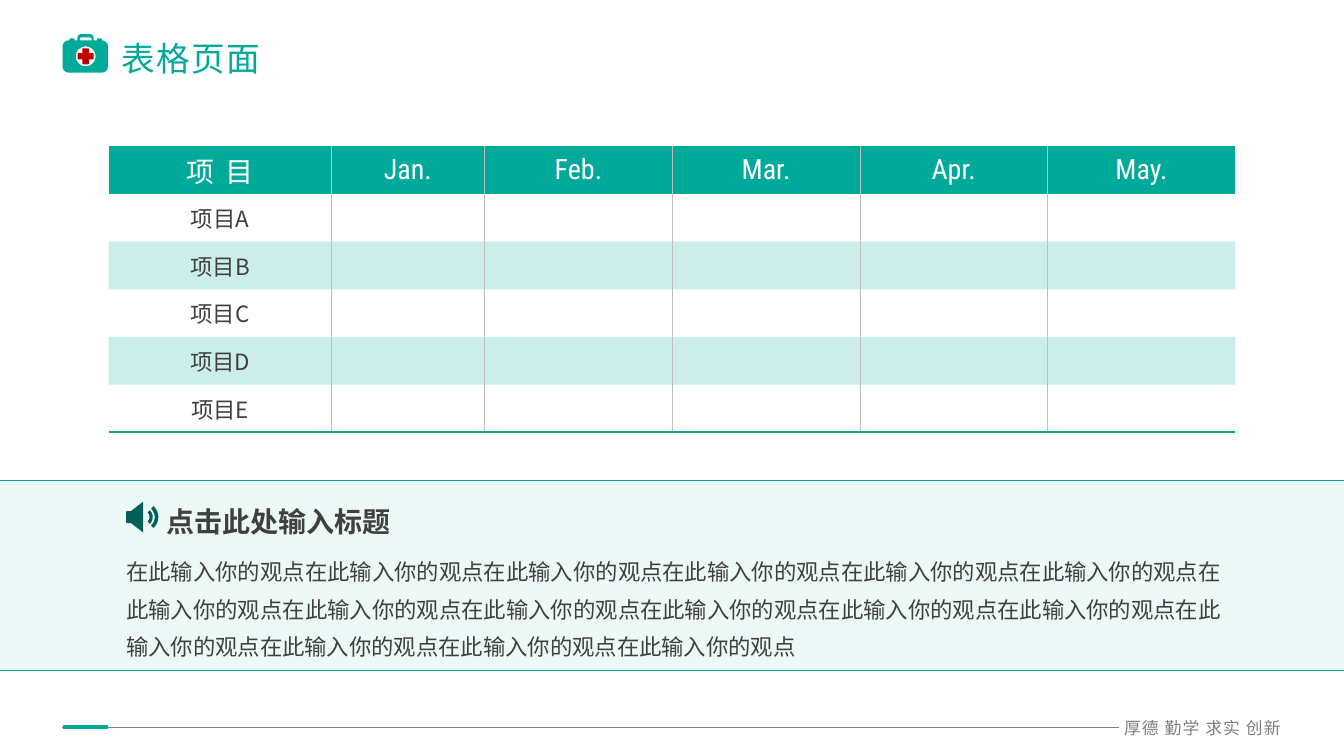
from dataclasses import dataclass
from math import cos, hypot, radians, sin

from lxml import etree
from pptx import Presentation
from pptx.dml.color import RGBColor
from pptx.enum.shapes import MSO_CONNECTOR, MSO_SHAPE
from pptx.enum.text import MSO_ANCHOR, PP_ALIGN
from pptx.oxml.ns import qn
from pptx.util import Cm, Pt

STRAIGHT = MSO_CONNECTOR.STRAIGHT
RECTANGLE = MSO_SHAPE.RECTANGLE
TOP, MIDDLE = MSO_ANCHOR.TOP, MSO_ANCHOR.MIDDLE
LEFT, CENTER, JUSTIFY = PP_ALIGN.LEFT, PP_ALIGN.CENTER, PP_ALIGN.JUSTIFY


@dataclass(frozen=True)
class Theme:
    teal: str = "00AA9A"
    teal_deep: str = "008074"
    speaker: str = "036057"
    red: str = "C00000"
    ink: str = "404040"
    gray: str = "808080"
    rule: str = "BFBFBF"
    white: str = "FFFFFF"
    cjk: str = "Noto Sans CJK JP"
    latin: str = "Roboto Condensed"
    title_size: int = 24
    heading_size: int = 20
    body_size: int = 16
    footer_size: int = 12


THEME = Theme()

TITLE = "表格页面"
HEADER = ["项 目", "Jan.", "Feb.", "Mar.", "Apr.", "May."]
ITEMS = ["项目A", "项目B", "项目C", "项目D", "项目E"]
HEADING = "点击此处输入标题"
BODY = "在此输入你的观点" * 16
MOTTO = "厚德 勤学 求实 创新"

SLIDE_W, SLIDE_H = 33.87, 19.05
COLUMN_WIDTHS = [5.61, 3.86] + [4.73] * 4
ROW_HEIGHT = 1.2
PANEL_TOP, PANEL_BOTTOM = 12.12, 16.9

KIT_CENTER = (2.16, 1.42)
KIT_BODY = [
    (1.58, 1.02, 0.15), (1.75, 1.02, 0), (1.75, 0.97, 0.03), (1.88, 0.97, 0.03),
    (1.88, 1.02, 0), (1.95, 1.02, 0), (1.95, 0.86, 0.1), (2.36, 0.86, 0.1),
    (2.36, 1.02, 0), (2.44, 1.02, 0), (2.44, 0.97, 0.03), (2.57, 0.97, 0.03),
    (2.57, 1.02, 0), (2.72, 1.02, 0.15), (2.72, 1.83, 0.15), (1.58, 1.83, 0.15),
]
KIT_HANDLE_GAP = [(2.01, 1.02, 0), (2.01, 0.94, 0.05), (2.31, 0.94, 0.05), (2.31, 1.02, 0)]
WINDOW_RADIUS, CROSS_REACH, CROSS_ARM = 0.25, 0.2, 0.08
SPEAKER_HORN = [(3.18, 12.88, 0.03), (3.3, 12.88, 0), (3.61, 12.64, 0),
                (3.61, 13.42, 0), (3.3, 13.18, 0), (3.18, 13.18, 0.03)]
WAVE_CENTER = (3.62, 13.03)
WAVE_RADII = [(0.15, 0.23), (0.28, 0.37)]


def rgb(color):
    return RGBColor.from_string(color)


def set_alpha(element, percent):
    color = next(element.iter(qn("a:srgbClr")))
    etree.SubElement(color, qn("a:alpha")).set("val", str(percent * 1000))


def style_text(frame, text, size, color, font=THEME.cjk, align=LEFT, spacing=None,
               line_spacing=None, bold=False):
    frame.text = text
    paragraph = frame.paragraphs[0]
    paragraph.alignment = align
    if line_spacing:
        paragraph.line_spacing = line_spacing
    run = paragraph.runs[0]
    run.font.size = Pt(size)
    run.font.bold = bold
    run.font.color.rgb = rgb(color)
    run.font.name = font
    properties = run.font._element
    etree.SubElement(properties, qn("a:ea")).set("typeface", font)
    if spacing:
        properties.set("spc", str(round(spacing * 100)))
    return run


def add_text(slide, box, text, size, color, inset=0, anchor=TOP, **style):
    frame = slide.shapes.add_textbox(*map(Cm, box)).text_frame
    frame.word_wrap = True
    frame.vertical_anchor = anchor
    frame.margin_left = frame.margin_right = 0
    frame.margin_top = frame.margin_bottom = Cm(inset)
    return style_text(frame, text, size, color, **style)


def add_rule(slide, left, right, y, color, width):
    rule = slide.shapes.add_connector(STRAIGHT, Cm(left), Cm(y), Cm(right), Cm(y))
    rule.line.color.rgb = rgb(color)
    rule.line.width = Pt(width)
    etree.SubElement(rule._element.spPr, qn("a:effectLst"))


def rounded(corners, steps=8):
    points = []
    for i, (x, y, radius) in enumerate(corners):
        if not radius:
            points.append((x, y))
            continue
        ends = []
        for nx, ny, _ in (corners[i - 1], corners[(i + 1) % len(corners)]):
            share = radius / hypot(nx - x, ny - y)
            ends.append((x + (nx - x) * share, y + (ny - y) * share))
        start, end = ends
        for k in range(steps + 1):
            t = k / steps
            u = 1 - t
            from_start = u ** 3 + 3 * u * u * t * 0.45
            from_end = t ** 3 + 3 * t * t * u * 0.45
            to_corner = 1 - from_start - from_end
            points.append(tuple(a * from_start + b * from_end + c * to_corner
                                for a, b, c in zip(start, end, (x, y))))
    return points


def add_outline(slide, contours, color):
    contours = [[(Cm(x), Cm(y)) for x, y in contour] for contour in contours]
    builder = slide.shapes.build_freeform(*contours[0][0])
    builder.add_line_segments(contours[0][1:], close=True)
    for contour in contours[1:]:
        builder.move_to(*contour[0])
        builder.add_line_segments(contour[1:], close=True)
    outline = builder.convert_to_shape()
    outline.shadow.inherit = False
    outline.fill.solid()
    outline.fill.fore_color.rgb = rgb(color)
    outline.line.fill.background()


def add_first_aid_kit(slide):
    cx, cy = KIT_CENTER
    window = [(cx + sx * WINDOW_RADIUS, cy + sy * WINDOW_RADIUS, WINDOW_RADIUS)
              for sx, sy in ((-1, -1), (-1, 1), (1, 1), (1, -1))]
    reach, arm = CROSS_REACH, CROSS_ARM
    quarter = [(-arm, -reach, 0.02), (arm, -reach, 0.02), (arm, -arm, 0)]
    cross = []
    for _ in range(4):
        cross += [(cx + x, cy + y, radius) for x, y, radius in quarter]
        quarter = [(-y, x, radius) for x, y, radius in quarter]
    add_outline(slide, map(rounded, (KIT_BODY, KIT_HANDLE_GAP, window)), THEME.teal)
    add_outline(slide, [rounded(cross)], THEME.red)


def add_speaker(slide):
    cx, cy = WAVE_CENTER
    angles = [radians(degree) for degree in range(-48, 49, 6)]
    for inner, outer in WAVE_RADII:
        sweep = [(outer, a) for a in angles] + [(inner, a) for a in reversed(angles)]
        add_outline(slide, [[(cx + r * cos(a), cy + r * sin(a)) for r, a in sweep]],
                    THEME.speaker)
    add_outline(slide, [rounded(SPEAKER_HORN)], THEME.speaker)


def set_borders(cell, borders):
    properties = cell._tc.get_or_add_tcPr()
    for i, side in enumerate(("lnL", "lnR", "lnT", "lnB")):
        border = etree.Element(qn(f"a:{side}"))
        if side in borders:
            color, width = borders[side]
            border.set("w", str(Pt(width)))
            fill = etree.SubElement(border, qn("a:solidFill"))
            etree.SubElement(fill, qn("a:srgbClr")).set("val", color)
        else:
            border.set("w", "0")
            etree.SubElement(border, qn("a:noFill"))
        properties.insert(i, border)


def add_schedule(slide):
    rows = [HEADER] + [[item] + [""] * (len(HEADER) - 1) for item in ITEMS]
    table = slide.shapes.add_table(
        len(rows), len(HEADER), Cm(2.74), Cm(3.69),
        Cm(sum(COLUMN_WIDTHS)), Cm(ROW_HEIGHT * len(rows))).table
    table.first_row = table.horz_banding = False
    for column, width in zip(table.columns, COLUMN_WIDTHS):
        column.width = Cm(width)
    for r, row in enumerate(rows):
        table.rows[r].height = Cm(ROW_HEIGHT)
        for c, text in enumerate(row):
            cell = table.cell(r, c)
            cell.vertical_anchor = MIDDLE
            cell.margin_left = cell.margin_right = cell.margin_top = cell.margin_bottom = 0
            if text:
                style_text(cell.text_frame, text,
                           THEME.body_size if r else THEME.heading_size,
                           THEME.ink if r else THEME.white,
                           font=THEME.latin if c else THEME.cjk, align=CENTER,
                           spacing=None if r or c else 2)
            if r % 2 and r:
                cell.fill.background()
            else:
                cell.fill.solid()
                cell.fill.fore_color.rgb = rgb(THEME.teal)
                if r:
                    set_alpha(cell._tc.tcPr, 20)
            borders = {}
            if c:
                borders["lnL"] = (THEME.rule, 0.25)
            if c < len(row) - 1:
                borders["lnR"] = (THEME.rule, 0.25)
            if r == len(rows) - 1:
                borders["lnB"] = (THEME.teal, 1.5)
            set_borders(cell, borders)


def add_panel(slide):
    panel = slide.shapes.add_shape(RECTANGLE, 0, Cm(PANEL_TOP), Cm(SLIDE_W),
                                   Cm(PANEL_BOTTOM - PANEL_TOP))
    panel.shadow.inherit = False
    panel.fill.solid()
    panel.fill.fore_color.rgb = rgb(THEME.teal)
    set_alpha(panel._element.spPr, 7)
    panel.line.fill.background()
    for y in (PANEL_TOP, PANEL_BOTTOM):
        add_rule(slide, 0, SLIDE_W, y, THEME.teal, 0.75)


def main():
    deck = Presentation()
    deck.slide_width, deck.slide_height = Cm(SLIDE_W), Cm(SLIDE_H)
    slide = deck.slides.add_slide(deck.slide_layouts[6])

    add_text(slide, (28.22, 18.08, 4.17, 0.51), MOTTO, THEME.footer_size, THEME.gray,
             align=CENTER, spacing=0.8)
    add_rule(slide, 1.57, 28.19, 18.34, THEME.gray, 0.5)
    add_rule(slide, 1.6, 2.72, 18.31, THEME.teal, 3)
    add_first_aid_kit(slide)
    add_panel(slide)

    title = add_text(slide, (3.07, 0.81, 22, 1.3), TITLE, THEME.title_size, THEME.teal,
                     inset=0.13, anchor=MIDDLE, spacing=1)
    title.font.fill.gradient()
    title.font.fill.gradient_angle = 315
    for stop, color in zip(title.font.fill.gradient_stops, (THEME.teal, THEME.teal_deep)):
        stop.color.rgb = rgb(color)

    add_schedule(slide)
    add_text(slide, (4.19, 12.55, 7.42, 0.97), HEADING, THEME.heading_size, THEME.ink,
             line_spacing=1.2, bold=True)
    add_speaker(slide)
    add_text(slide, (3.18, 13.67, 27.61, 3.05), BODY, THEME.body_size, THEME.ink,
             inset=0.13, align=JUSTIFY, line_spacing=1.4)
    deck.save("out.pptx")


if __name__ == "__main__":
    main()
